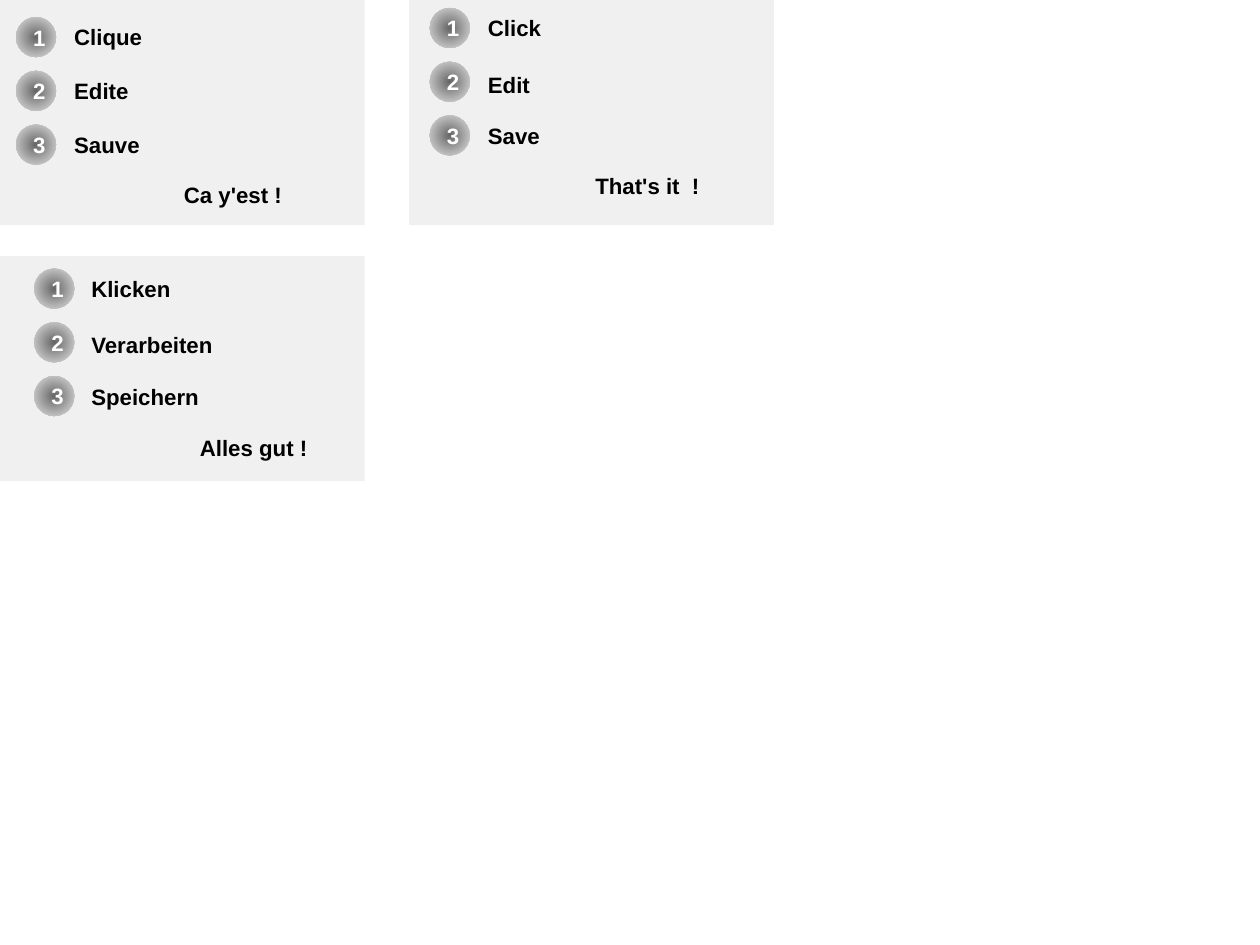
"""Build a slide of three-step instruction cards in French, English and German."""
from dataclasses import dataclass

from lxml import etree
from pptx import Presentation
from pptx.dml.color import RGBColor
from pptx.enum.shapes import MSO_SHAPE
from pptx.enum.text import MSO_ANCHOR, PP_ALIGN
from pptx.oxml.ns import qn
from pptx.util import Inches, Pt

RECTANGLE, OVAL = MSO_SHAPE.RECTANGLE, MSO_SHAPE.OVAL
CENTER, MIDDLE = PP_ALIGN.CENTER, MSO_ANCHOR.MIDDLE

CARDS = [
    {"cell": (0, 0), "start": (0.14, 0.15), "label_left": 0.41,
     "label_tops": (0, 0.48, 0.95), "closing_offset": (1.37, 1.39),
     "steps": ["Clique", "Edite", "Sauve"], "closing": "Ca y'est !"},
    {"cell": (1, 0), "start": (0.18, 0.07), "label_left": 0.41,
     "label_tops": (0.01, 0.5, 0.95), "closing_offset": (1.35, 1.39),
     "steps": ["Click", "Edit", "Save"], "closing": "That's it  !"},
    {"cell": (0, 1), "start": (0.3, 0.11), "label_left": 0.4,
     "label_tops": (0.01, 0.5, 0.95), "closing_offset": (1.35, 1.4),
     "steps": ["Klicken", "Verarbeiten", "Speichern"], "closing": "Alles gut !"},
]

CM_PER_INCH = 2.54
SLIDE_SIZE = (28 / CM_PER_INCH, 21 / CM_PER_INCH)
CARD_SIZE = (3.19, 1.97)
CARD_PITCH = (3.58, 2.24)
BADGE_SIZE = (0.35, 0.35)
STEP_PITCH = 0.47
LABEL_SIZE = (2.22, 0.32)
CLOSING_SIZE = (1.39, 0.32)


@dataclass(frozen=True)
class Theme:
    """Colours and type of the cards."""
    font: str = "Arial"
    size: int = 14
    card: RGBColor = RGBColor(0xF0, 0xF0, 0xF0)
    badge_core: RGBColor = RGBColor(0x66, 0x66, 0x66)
    badge_edge: RGBColor = RGBColor(0xE6, 0xE6, 0xE6)
    badge_text: RGBColor = RGBColor(0xFF, 0xFF, 0xFF)
    text: RGBColor = RGBColor(0, 0, 0)


THEME = Theme()


def shifted(point, offset):
    return point[0] + offset[0], point[1] + offset[1]


def box(position, size):
    return [Inches(length) for length in (*position, *size)]


def write(shape, text, color):
    shape.text_frame.word_wrap = True
    shape.text_frame.text = text
    font = shape.text_frame.paragraphs[0].runs[0].font
    font.name, font.size, font.bold = THEME.font, Pt(THEME.size), True
    font.color.rgb = color


def add_label(slide, text, position, size):
    write(slide.shapes.add_textbox(*box(position, size)), text, THEME.text)


def fill_radially(shape):
    shape.fill.gradient()
    for stop, color in zip(shape.fill.gradient_stops,
                           (THEME.badge_core, THEME.badge_edge)):
        stop.color.rgb = color
    gradient = shape.element.spPr.find(qn("a:gradFill"))
    linear = gradient.find(qn("a:lin"))
    radial = etree.Element(qn("a:path"), {"path": "circle"})
    etree.SubElement(radial, qn("a:fillToRect"),
                     {side: "50000" for side in "ltrb"})
    gradient.replace(linear, radial)


def add_badge(slide, number, position):
    badge = slide.shapes.add_shape(OVAL, *box(position, BADGE_SIZE))
    badge.shadow.inherit = False
    badge.line.fill.background()
    fill_radially(badge)
    write(badge, str(number), THEME.badge_text)
    badge.text_frame.vertical_anchor = MIDDLE
    badge.text_frame.paragraphs[0].alignment = CENTER


def add_card(slide, card):
    corner = [index * pitch for index, pitch in zip(card["cell"], CARD_PITCH)]
    panel = slide.shapes.add_shape(RECTANGLE, *box(corner, CARD_SIZE))
    panel.shadow.inherit = False
    panel.fill.solid()
    panel.fill.fore_color.rgb = THEME.card
    panel.line.fill.background()
    start = shifted(corner, card["start"])
    for row, (step, top) in enumerate(zip(card["steps"], card["label_tops"])):
        add_badge(slide, row + 1, shifted(start, (0, row * STEP_PITCH)))
        add_label(slide, step, shifted(start, (card["label_left"], top)), LABEL_SIZE)
    add_label(slide, card["closing"],
              shifted(start, card["closing_offset"]), CLOSING_SIZE)


def main():
    presentation = Presentation()
    width, height = SLIDE_SIZE
    presentation.slide_width = Inches(width)
    presentation.slide_height = Inches(height)
    slide = presentation.slides.add_slide(presentation.slide_layouts[6])
    for card in CARDS:
        add_card(slide, card)
    presentation.save("out.pptx")


if __name__ == "__main__":
    main()
